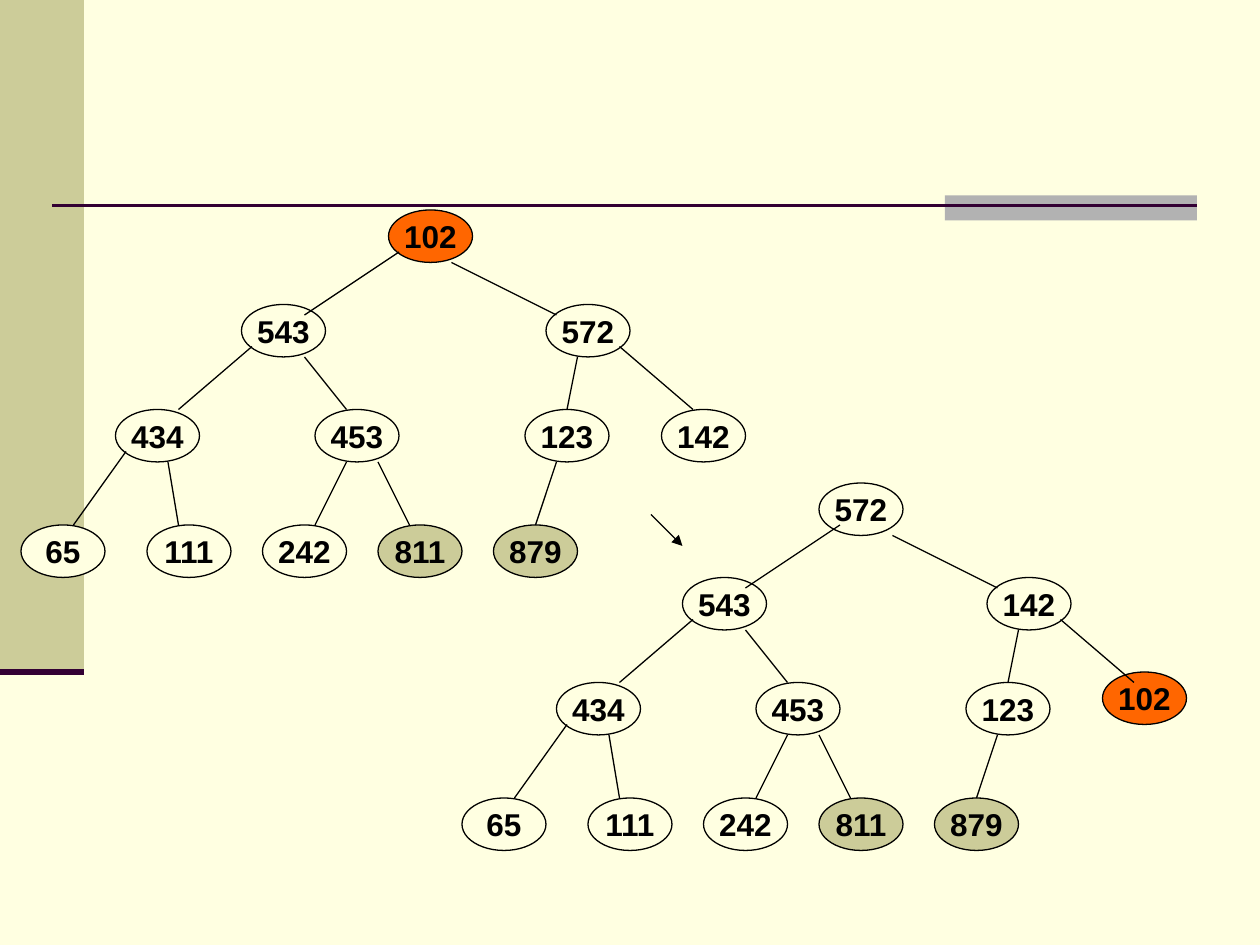
from pptx import Presentation
from pptx.dml.color import RGBColor
from pptx.enum.shapes import MSO_CONNECTOR, MSO_SHAPE
from pptx.enum.text import MSO_ANCHOR, PP_ALIGN
from pptx.oxml.ns import qn
from pptx.util import Cm, Pt
from lxml.etree import SubElement

COLORS = {"cream": "FFFFE1", "olive": "CCCC99", "grey": "B2B2B2",
          "plum": "330033", "orange": "FF6600", "black": "000000"}
UNIT = 2.54 / 12  # grid step in cm; all positions below count grid steps

prs = Presentation()
prs.slide_width, prs.slide_height = Cm(25.4), Cm(19.05)
slide = prs.slides.add_slide(prs.slide_layouts[6])
slide.background.fill.solid()
slide.background.fill.fore_color.rgb = RGBColor.from_string(COLORS["cream"])


def add_shape(kind, box, color):
    s = slide.shapes.add_shape(kind, *[Cm(v * UNIT) for v in box])
    s.shadow.inherit = False
    s.fill.solid()
    s.fill.fore_color.rgb = RGBColor.from_string(COLORS[color])
    s.line.fill.background()
    return s


def add_line(ends, color="black", width=0.75):
    c = slide.shapes.add_connector(MSO_CONNECTOR.STRAIGHT, *[Cm(v * UNIT) for v in ends])
    c.line.color.rgb = RGBColor.from_string(COLORS[color])
    c.line.width = Pt(width)
    SubElement(c._element.spPr, qn("a:effectLst"))
    return c


# Side band and title rule
add_shape(MSO_SHAPE.RECTANGLE, (0, 0, 8, 64), "olive")
add_shape(MSO_SHAPE.RECTANGLE, (90, 18.6, 24, 2.4), "grey")
add_line((5, 19.6, 114, 19.6), "plum", 1.5)
add_line((0, 64, 8, 64), "plum", 3.5)

# Heap before and after the swap: offset, then (value, left, top) of changed nodes
heaps = [
    ((0, 0), [("102", 37, 20), ("572", 52, 29), ("142", 63, 39)]),
    ((42, 26), [("572", 36, 20), ("142", 52, 29), ("102", 63, 38)]),
]
shared_nodes = [
    ("543", 23, 29), ("434", 11, 39), ("453", 30, 39), ("123", 50, 39),
    ("65", 2, 50), ("111", 14, 50), ("242", 25, 50), ("811", 36, 50), ("879", 47, 50),
]
edges = [
    (38, 24, 29, 30), (43, 25, 53, 30),
    (24, 33, 17, 39), (29, 34, 33, 39), (55, 34, 54, 39), (59, 33, 66, 39),
    (12, 43, 7, 50), (16, 44, 17, 50), (33, 44, 30, 50), (36, 44, 39, 50), (53, 44, 51, 50),
]
node_colors = {"102": "orange", "811": "olive", "879": "olive"}

for (dx, dy), changed_nodes in heaps:
    for value, x, y in changed_nodes + shared_nodes:
        s = add_shape(MSO_SHAPE.OVAL, (x + dx, y + dy, 8, 5), node_colors.get(value, "cream"))
        s.line.color.rgb = RGBColor.from_string(COLORS["black"])
        s.line.width = Pt(0.75)
        tf = s.text_frame
        tf.word_wrap = False
        tf.vertical_anchor = MSO_ANCHOR.MIDDLE
        p = tf.paragraphs[0]
        p.text = value
        p.alignment = PP_ALIGN.CENTER
        p.font.name = "Arial"
        p.font.size = Pt(18)
        p.font.bold = True
        p.font.color.rgb = RGBColor.from_string(COLORS["black"])
    for x1, y1, x2, y2 in edges:
        add_line((x1 + dx, y1 + dy, x2 + dx, y2 + dy))

# Arrow from the first heap to the second
arrow = add_line((62, 49, 65, 52))
SubElement(arrow.line._get_or_add_ln(), qn("a:tailEnd"), type="triangle")

prs.save("out.pptx")
